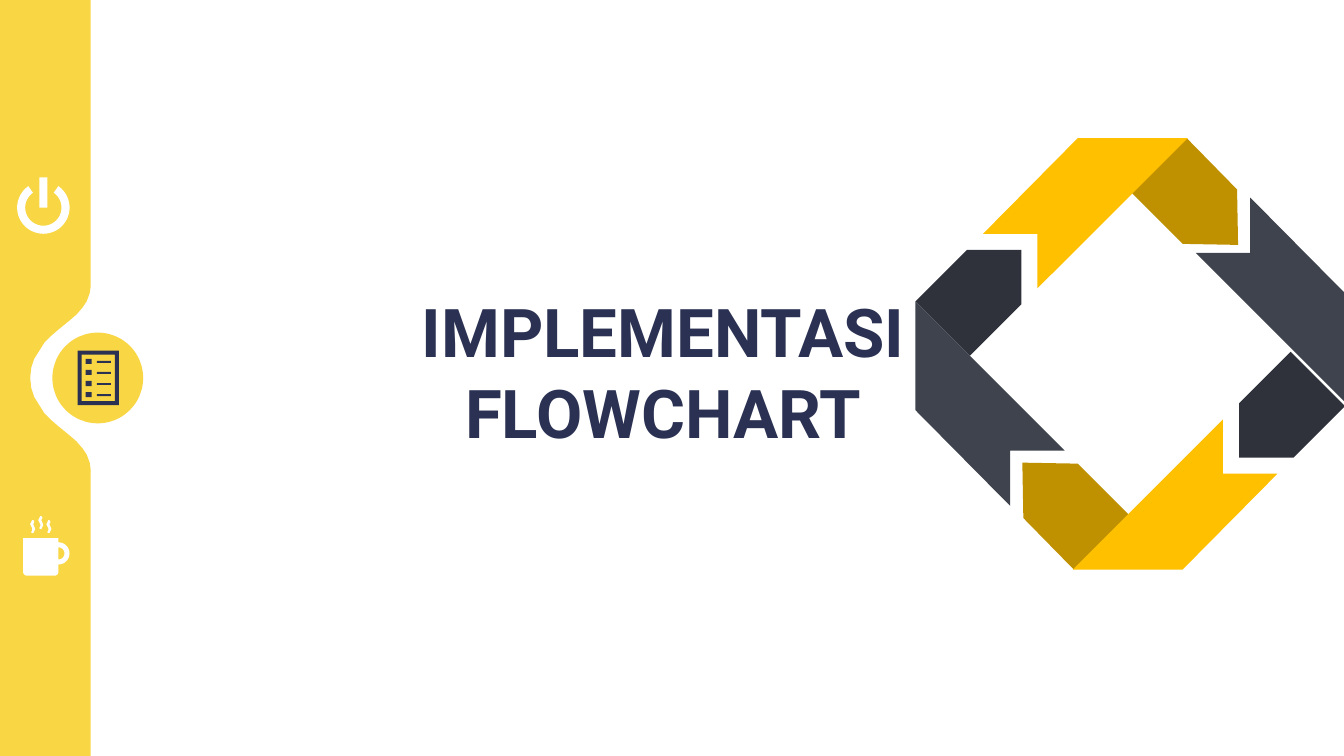
import math
import pptx
import pptx.dml.color
import pptx.enum.shapes
import pptx.enum.text
import pptx.util
from dataclasses import dataclass

Inches = pptx.util.Inches


@dataclass(frozen=True)
class Theme:
    font: str = "Roboto"
    title_size: int = 48
    navy: str = "2B3152"
    yellow: str = "F9D644"
    white: str = "FFFFFF"
    amber: str = "FFC000"
    dark_amber: str = "BF9000"
    slate: str = "3F434D"
    dark_slate: str = "2F323A"


class SlideBuilder:
    def __init__(self, slide, theme):
        self.slide = slide
        self.theme = theme

    def paint(self, shape, color):
        shape.shadow.inherit = False
        shape.fill.solid()
        shape.fill.fore_color.rgb = pptx.dml.color.RGBColor.from_string(color)
        shape.line.fill.background()

    def title(self, text, left, top, width, height):
        shape = self.slide.shapes.title
        shape.left, shape.top = Inches(left), Inches(top)
        shape.width, shape.height = Inches(width), Inches(height)
        frame = shape.text_frame
        frame.text = text
        frame.word_wrap = True
        frame.auto_size = pptx.enum.text.MSO_AUTO_SIZE.NONE
        frame.vertical_anchor = pptx.enum.text.MSO_ANCHOR.MIDDLE
        frame.margin_left = frame.margin_right = 0
        frame.margin_top = frame.margin_bottom = 0
        paragraph = frame.paragraphs[0]
        paragraph.alignment = pptx.enum.text.PP_ALIGN.CENTER
        font = paragraph.runs[0].font
        font.name, font.size = self.theme.font, pptx.util.Pt(self.theme.title_size)
        font.bold = True
        font.color.rgb = pptx.dml.color.RGBColor.from_string(self.theme.navy)

    def circle(self, center_x, center_y, radius, color):
        shape = self.slide.shapes.add_shape(
            pptx.enum.shapes.MSO_SHAPE.OVAL,
            Inches(center_x - radius), Inches(center_y - radius),
            Inches(2 * radius), Inches(2 * radius))
        self.paint(shape, color)

    def outline(self, contours, color):
        """Draw closed contours as one shape; a contour inside another is a hole."""
        builder = None
        for contour in contours:
            start, *rest = [(Inches(x), Inches(y)) for x, y in contour]
            if builder is None:
                builder = self.slide.shapes.build_freeform(*start, scale=1.0)
            else:
                builder.move_to(*start)
            builder.add_line_segments(rest, close=True)
        self.paint(builder.convert_to_shape(), color)


def rectangle(left, top, right, bottom):
    return [(left, top), (right, top), (right, bottom), (left, bottom)]


def arc(center_x, center_y, radius, start, end, steps=40):
    angles = [math.radians(start + (end - start) * i / steps) for i in range(steps + 1)]
    return [(center_x + radius * math.cos(a), center_y + radius * math.sin(a))
            for a in angles]


def half_turn(points, center_x, center_y):
    return [(2 * center_x - x, 2 * center_y - y) for x, y in points]


theme = Theme()
presentation = pptx.Presentation()
presentation.slide_width, presentation.slide_height = Inches(13.33), Inches(7.5)
slide = presentation.slides.add_slide(presentation.slide_layouts[5])
builder = SlideBuilder(slide, theme)

# Sidebar with a notch that is symmetric about the middle of the slide
MIDDLE = 3.75
NOTCH = [(0.9, 0.91), (0.89, 0.84), (0.86, 0.76), (0.82, 0.7), (0.76, 0.63),
         (0.69, 0.57), (0.58, 0.48), (0.51, 0.42), (0.44, 0.35), (0.39, 0.27),
         (0.34, 0.19), (0.31, 0.1), (0.3, 0)]
lower = [(x, MIDDLE + dy) for x, dy in NOTCH]
upper = [(x, MIDDLE - dy) for x, dy in reversed(NOTCH[:-1])]
builder.outline([[(0.9, 0), (0, 0), (0, 7.5), (0.9, 7.5)] + lower + upper], theme.yellow)

# Checklist icon in its circle
builder.circle(0.97, MIDDLE, 0.45, theme.yellow)
checklist = [rectangle(0.77, 3.48, 1.18, 4.02), rectangle(0.81, 3.52, 1.14, 3.98)]
for row in range(4):
    top = 3.56 + 0.11 * row
    checklist += [rectangle(0.85, top, 0.91, top + 0.05),
                  rectangle(0.96, top + 0.02, 1.1, top + 0.04)]
builder.outline(checklist, theme.navy)

# Power icon
ring = arc(0.43, 2.06, 0.26, -55, 235) + arc(0.43, 2.06, 0.18, 235, -55)
builder.outline([ring, rectangle(0.39, 1.76, 0.47, 2.06)], theme.white)

# Cup icon: body, handle and three wisps of steam
body = [(0.23, 5.34), (0.58, 5.34), (0.58, 5.68), (0.57, 5.7), (0.55, 5.71),
        (0.26, 5.71), (0.24, 5.7), (0.23, 5.68)]
handle = arc(0.58, 5.49, 0.11, -90, 90) + arc(0.58, 5.49, 0.06, 90, -90)
WISP = [(0.05, 0.13), (0.04, 0.1), (0.03, 0.08), (0.04, 0.06), (0.04, 0.05),
        (0.03, 0.04), (0.02, 0.04), (0, 0.08), (0.02, 0.12), (0.02, 0.14),
        (0.01, 0.16), (0.02, 0.17), (0.03, 0.17)]
steam = [[(left + x, top + y) for x, y in WISP]
         for left, top in ((0.3, 5.12), (0.38, 5.08), (0.46, 5.12))]
builder.outline([body, handle] + steam, theme.white)

# Title
builder.title("IMPLEMENTASI FLOWCHART", 3.44, 2.87, 6.28, 1.62)

# Ribbon ring: each piece appears again after a half turn about its centre
CENTER_X = 11.21
RIBBONS = [
    (theme.dark_amber, 3.51, [(10.69, 4.6), (11.2, 5.11), (10.65, 5.65),
                              (10.15, 5.14), (10.14, 4.59)]),
    (theme.amber, 3.51, [(10.29, 2.32), (9.75, 2.32), (10.69, 1.37),
                         (11.78, 1.37), (10.29, 2.86)]),
    (theme.dark_slate, 3.51, [(10.13, 3.02), (9.62, 3.53), (9.08, 2.99),
                              (9.59, 2.48), (10.13, 2.48)]),
    (theme.slate, 3.49, [(10.02, 4.47), (10.02, 5.02), (9.08, 4.07),
                         (9.08, 2.99), (10.56, 4.47)]),
]
for color, center_y, points in RIBBONS:
    for piece in (points, half_turn(points, CENTER_X, center_y)):
        builder.outline([piece], color)

presentation.save("out.pptx")
